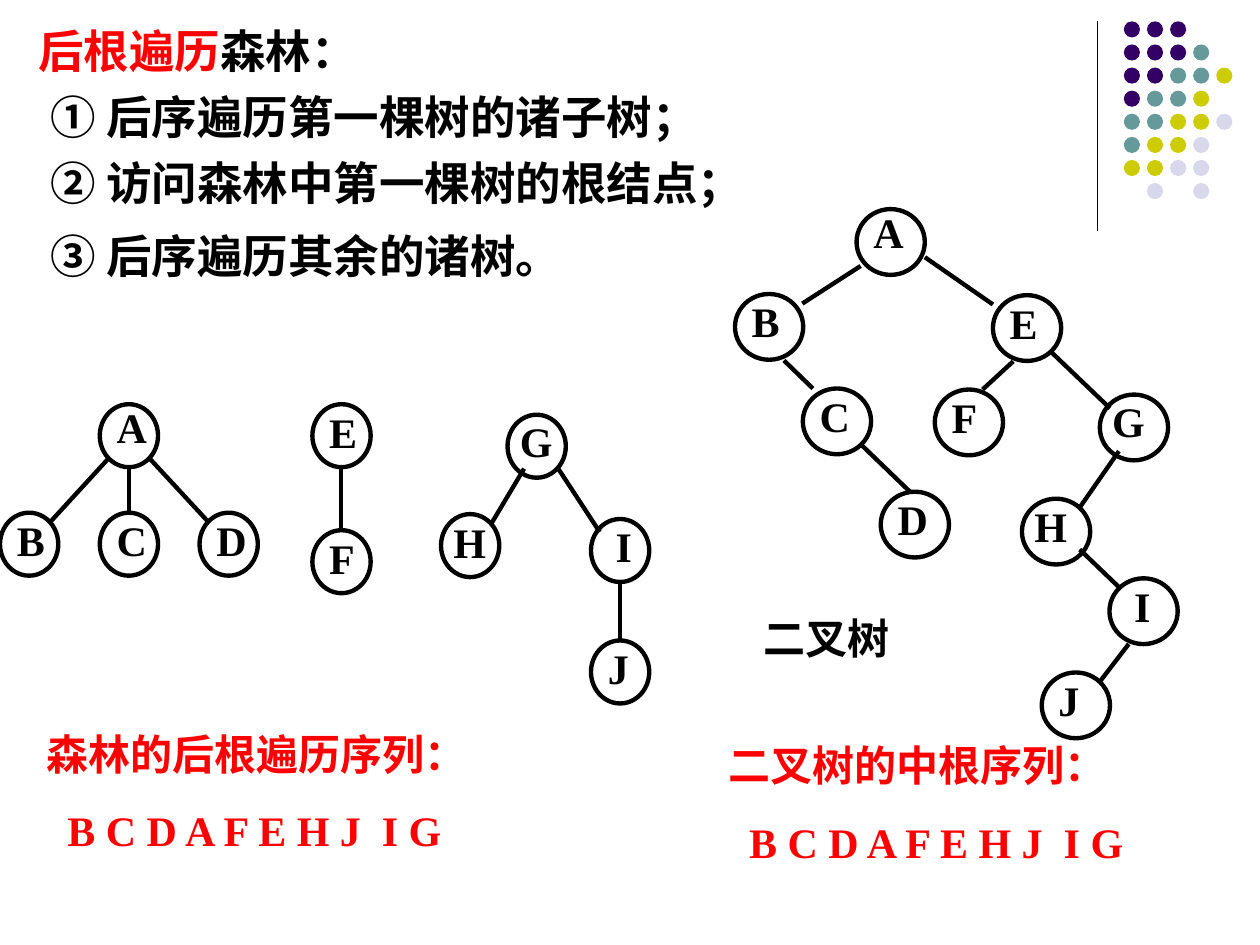
from dataclasses import dataclass

from lxml.etree import SubElement
from pptx import Presentation
from pptx.dml.color import RGBColor
from pptx.enum.shapes import MSO_CONNECTOR as Connector, MSO_SHAPE as Shape
from pptx.enum.text import MSO_ANCHOR as Anchor, MSO_AUTO_SIZE as AutoSize
from pptx.oxml.ns import qn
from pptx.util import Pt


@dataclass(frozen=True)
class Theme:
    black: str = "000000"
    red: str = "FF0000"
    purple: str = "330066"
    teal: str = "669999"
    olive: str = "CCCC00"
    lavender: str = "D8D8EC"
    body_font: str = "Arial"
    label_font: str = "Times New Roman"
    chinese_font: str = "Noto Sans CJK SC"
    body_size: float = 26
    label_size: float = 24
    thin: float = 0.75
    thick: float = 2.5


class SlideBuilder:
    def __init__(self, slide, theme):
        self.slide = slide
        self.theme = theme

    def group(self):
        return self.slide.shapes.add_group_shape().shapes

    def style(self, paragraph, font_name, size, color, indent=0):
        properties = paragraph._p.get_or_add_pPr()
        properties.set("marL", str(Pt(indent)))
        properties.set("indent", "0")
        SubElement(properties, qn("a:buNone"))
        font = paragraph.font
        font.name, font.size, font.bold = font_name, Pt(size), True
        if color:
            font.color.rgb = RGBColor.from_string(color)
        east_asian = SubElement(font._element, qn("a:ea"))
        east_asian.set("typeface", self.theme.chinese_font)

    def body(self, box, paragraphs):
        """Each paragraph is (indent, space before, [(text, color), ...])."""
        self.slide.shapes.title.element.getparent().remove(self.slide.shapes.title.element)
        shape = self.slide.placeholders[1]
        shape.left, shape.top, shape.width, shape.height = map(Pt, box)
        frame = shape.text_frame
        frame.auto_size, frame.vertical_anchor = AutoSize.NONE, Anchor.TOP
        for index, (indent, before, runs) in enumerate(paragraphs):
            paragraph = frame.add_paragraph() if index else frame.paragraphs[0]
            self.style(paragraph, self.theme.body_font, self.theme.body_size, None, indent)
            paragraph.space_before = Pt(before)
            for text, color in runs:
                run = paragraph.add_run()
                run.text = text
                run.font.color.rgb = RGBColor.from_string(color)

    def text(self, box, lines, color, shapes=None, spacing=1.0):
        """Each line is (text, indent)."""
        shape = (shapes or self.slide.shapes).add_textbox(*map(Pt, box))
        frame = shape.text_frame
        frame.word_wrap = True
        for index, (text, indent) in enumerate(lines):
            paragraph = frame.add_paragraph() if index else frame.paragraphs[0]
            paragraph.text = text
            self.style(paragraph, self.theme.label_font, self.theme.label_size, color, indent)
            paragraph.line_spacing = spacing
            paragraph.space_before = Pt(15 if index else 0)

    def ellipse(self, shapes, box, fill=None):
        shape = shapes.add_shape(Shape.OVAL, *map(Pt, box))
        shape.shadow.inherit = False
        if fill:
            shape.fill.solid()
            shape.fill.fore_color.rgb = RGBColor.from_string(fill)
            shape.line.fill.background()
        else:
            shape.fill.background()
            shape.line.color.rgb = RGBColor.from_string(self.theme.black)
            shape.line.width = Pt(self.theme.thick)

    def line(self, shapes, ends, width):
        connector = shapes.add_connector(Connector.STRAIGHT, *map(Pt, ends))
        connector.line.color.rgb = RGBColor.from_string(self.theme.black)
        connector.line.width = Pt(width)
        SubElement(connector._element.spPr, qn("a:effectLst"))

    def tree(self, size, nodes, edges):
        """Nodes are letter -> (left, top); edges are (x1, y1, x2, y2)."""
        shapes = self.group()
        width, height = size
        for letter, (left, top) in nodes.items():
            self.ellipse(shapes, (left, top, width, height))
            shift = {"G": 0, "H": 0, "I": 7}.get(letter, 2.5)
            rise = 3 if letter == "G" else 5.3
            spacing = 1.0 if letter in "AG" else 1.1
            self.text((left + shift, top - rise, width, 38), [(letter, 0)],
                      self.theme.black, shapes, spacing)
        for ends in edges:
            self.line(shapes, ends, self.theme.thick)

    def dots(self, origin, pitch, diameter, rows, colors):
        shapes = self.group()
        left, top = origin
        for row, codes in enumerate(rows):
            for column, code in enumerate(codes):
                if code in colors:
                    box = (left + column * pitch, top + row * pitch, diameter, diameter)
                    self.ellipse(shapes, box, colors[code])


def main():
    theme = Theme()
    presentation = Presentation()
    presentation.slide_width, presentation.slide_height = Pt(720), Pt(540)
    slide = presentation.slides.add_slide(presentation.slide_layouts[1])
    builder = SlideBuilder(slide, theme)

    # Corner decoration
    builder.line(slide.shapes, (627, 12.2, 627, 131.8), theme.thin)
    colors = {"P": theme.purple, "T": theme.teal, "O": theme.olive, "L": theme.lavender}
    rows = ["PPP", "PPPT", "PPTTO", "PTTO", "TTOOL", "TOOL", "OOLL", ".L.L"]
    builder.dots((642.2, 12.2), 13.2, 9.2, rows, colors)

    # Traversal rules
    builder.body((8.6, 9.4, 711, 530), [
        (6, 0, [("后根遍历", theme.red), ("森林：", theme.black)]),
        (13, 6.5, [("① 后序遍历第一棵树的诸子树；", theme.black)]),
        (13, 6.5, [("② 访问森林中第一棵树的根结点；", theme.black)]),
        (13, 11, [("③ 后序遍历其余的诸树。", theme.black)]),
    ])

    # Resulting sequences
    sequence = ("B C D A F E H J  I G", 12)
    builder.text((19.4, 412.6, 323, 80), [("森林的后根遍历序列：", 0), sequence], theme.red)
    builder.text((409, 419, 269, 80), [("二叉树的中根序列：", 0), sequence], theme.red)

    # Binary tree
    builder.text((429, 346.3, 122, 36), [("二叉树", 0)], theme.black)
    builder.tree((39, 37.6), {
        "A": (489.5, 119.5), "B": (420, 168), "C": (458.8, 222), "D": (503.3, 281),
        "E": (567.4, 168.7), "F": (534.2, 222.6), "G": (628.5, 225.5),
        "H": (584, 285), "I": (634, 330.5), "J": (595.3, 384.3),
    }, [
        (491.8, 152, 458.5, 173.5), (528.5, 147, 567.4, 174),
        (448, 206, 464.5, 222), (492, 254, 520, 281),
        (579, 206.5, 561.5, 222.6), (600.5, 201, 634.3, 233.3),
        (639.4, 257.8, 617, 290), (617, 314, 639.4, 335.5), (645, 368, 628.5, 389.5),
    ])

    # Forest of three trees
    node_size = (33.3, 36)
    builder.tree(node_size, {"A": (57, 231), "B": (0, 293), "C": (57, 293), "D": (114, 293)}, [
        (73.6, 267, 73.6, 293), (62, 262, 29, 298), (85.5, 262, 118.8, 298),
    ])
    builder.tree(node_size, {"E": (178.5, 231), "F": (178.5, 303)}, [(195, 267, 195, 303)])
    builder.tree(node_size, {
        "G": (290, 237), "H": (252, 293.8), "I": (337.7, 296.6), "J": (337.7, 366),
    }, [
        (299.5, 267.8, 281, 298.8), (319, 267.8, 342.7, 304), (354.2, 332.6, 354.2, 366),
    ])

    presentation.save("out.pptx")


if __name__ == "__main__":
    main()
